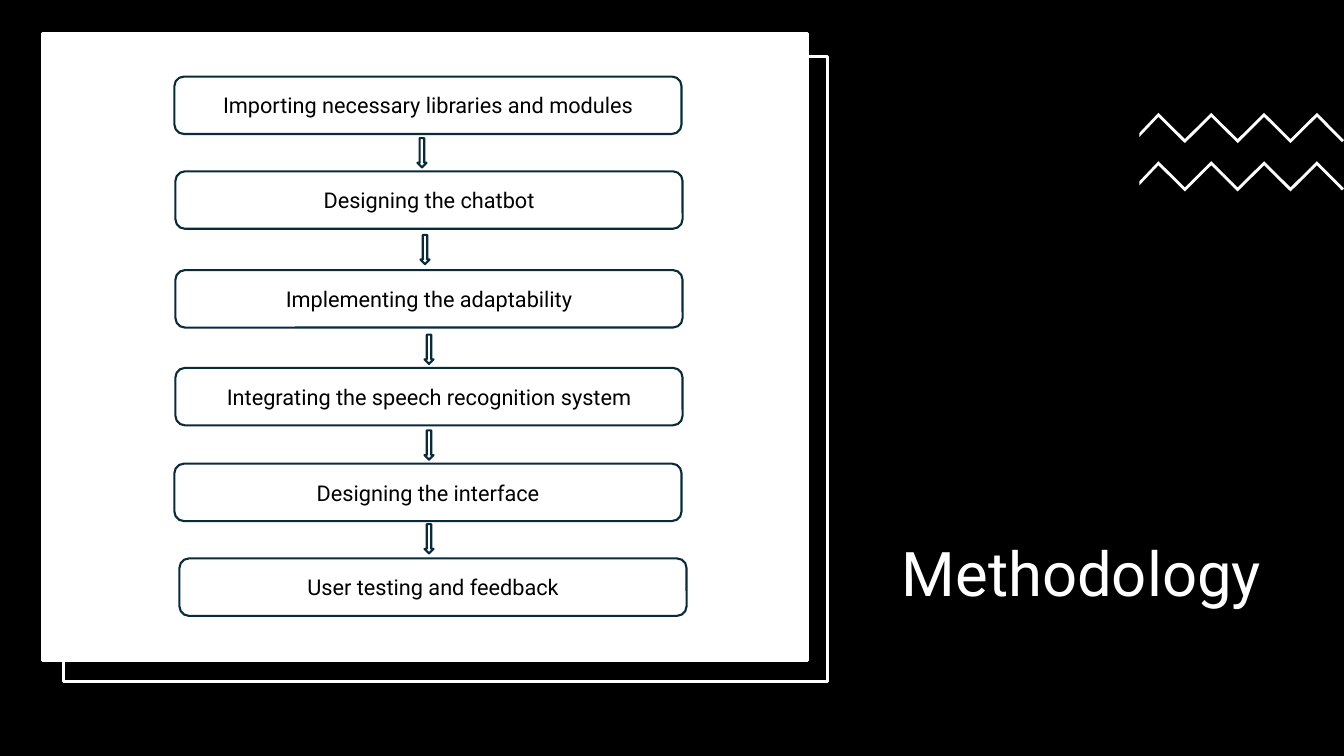
from pptx import Presentation
from pptx.dml.color import RGBColor
from pptx.enum.shapes import MSO_SHAPE
from pptx.enum.text import MSO_ANCHOR, PP_ALIGN
from pptx.util import Inches, Pt

RECT, ROUNDED, ARROW = MSO_SHAPE.RECTANGLE, MSO_SHAPE.ROUNDED_RECTANGLE, MSO_SHAPE.DOWN_ARROW
MIDDLE, BOTTOM = MSO_ANCHOR.MIDDLE, MSO_ANCHOR.BOTTOM
CENTER, RIGHT = PP_ALIGN.CENTER, PP_ALIGN.RIGHT

# Content
BLACK, WHITE, NAVY = "000000", "FFFFFF", "092A39"
FONT = "Roboto"
TITLE = "Methodology"
STEPS = [  # text, left, top
    ("Importing necessary libraries and modules", 1.73, 0.76),
    ("Designing the chatbot", 1.74, 1.7),
    ("Implementing the adaptability", 1.74, 2.68),
    ("Integrating the speech recognition system", 1.74, 3.65),
    ("Designing the interface", 1.73, 4.6),
    ("User testing and feedback", 1.78, 5.54),
]
ARROWS = [(4.14, 1.37), (4.17, 2.33), (4.21, 3.32), (4.21, 4.27), (4.21, 5.2)]
STEP_SIZE = (5.03, 0.57)
ARROW_SIZE = (0.09, 0.29)
PANELS = [  # left, top, width, height, fill
    (0.63, 0.56, 7.58, 6.2, BLACK),
    (0.42, 0.33, 7.59, 6.22, WHITE),
]
ZIGZAG_TOPS = (1.12, 1.6)
ZIGZAG_LEFT, FIRST_PEAK, HALF_WAVE = 11.3, 11.49, 0.262
WAVE_HEIGHT, STROKE = 0.26, 0.04


def color(value):
    return RGBColor.from_string(value)


def paint(shape, fill, line=None, weight=0):
    shape.shadow.inherit = False
    shape.fill.solid()
    shape.fill.fore_color.rgb = color(fill)
    if line:
        shape.line.color.rgb = color(line)
        shape.line.width = Pt(weight)
    else:
        shape.line.fill.background()


def add_box(kind, left, top, width, height, fill, line=None, weight=0):
    box = page.shapes.add_shape(kind, *map(Inches, (left, top, width, height)))
    paint(box, fill, line, weight)
    return box


def write(box, text, size, ink, anchor, layout):
    frame = box.text_frame
    frame.word_wrap = True
    frame.vertical_anchor = anchor
    para = frame.paragraphs[0]
    for name, value in layout.items():
        setattr(para, name, value)
    span = para.add_run()
    span.text = text
    for name, value in {"name": FONT, "size": Pt(size)}.items():
        setattr(span.font, name, value)
    span.font.color.rgb = color(ink)


def add_zigzag(top):
    wave = [(FIRST_PEAK + i * HALF_WAVE, top + WAVE_HEIGHT * (i % 2)) for i in range(7)]
    upper = wave + [(13.33, top + 0.27)]
    lower = [(13.31, top + 0.29)] + [(x, y + STROKE) for x, y in reversed(wave)]
    tail = [(ZIGZAG_LEFT, top + 0.24), (ZIGZAG_LEFT, top + 0.2)]
    points = [(Inches(x), Inches(y)) for x, y in upper + lower + tail]
    builder = page.shapes.build_freeform(*points[0])
    builder.add_line_segments(points[1:], close=True)
    paint(builder.convert_to_shape(), WHITE)


deck = Presentation()
deck.slide_width, deck.slide_height = Inches(13.33), Inches(7.5)
page = deck.slides.add_slide(deck.slide_layouts[6])

# Backdrop and title
add_box(RECT, 0, 0, 13.33, 7.5, BLACK)
title = page.shapes.add_textbox(*map(Inches, (8.7, 2.4, 3.91, 3.7)))
write(title, TITLE, 44, WHITE, BOTTOM, {"alignment": RIGHT, "line_spacing": 0.9})

# Offset panels and zigzag ornament
for *place, fill in PANELS:
    add_box(RECT, *place, fill, WHITE, 2.25)
for top in ZIGZAG_TOPS:
    add_zigzag(top)

# Flow of steps
for text, left, top in STEPS:
    step = add_box(ROUNDED, left, top, *STEP_SIZE, WHITE, NAVY, 1.5)
    write(step, text, 15.5, BLACK, MIDDLE, {"alignment": CENTER, "space_after": Pt(6)})
for left, top in ARROWS:
    add_box(ARROW, left, top, *ARROW_SIZE, WHITE, NAVY, 1.5)

deck.save("out.pptx")
